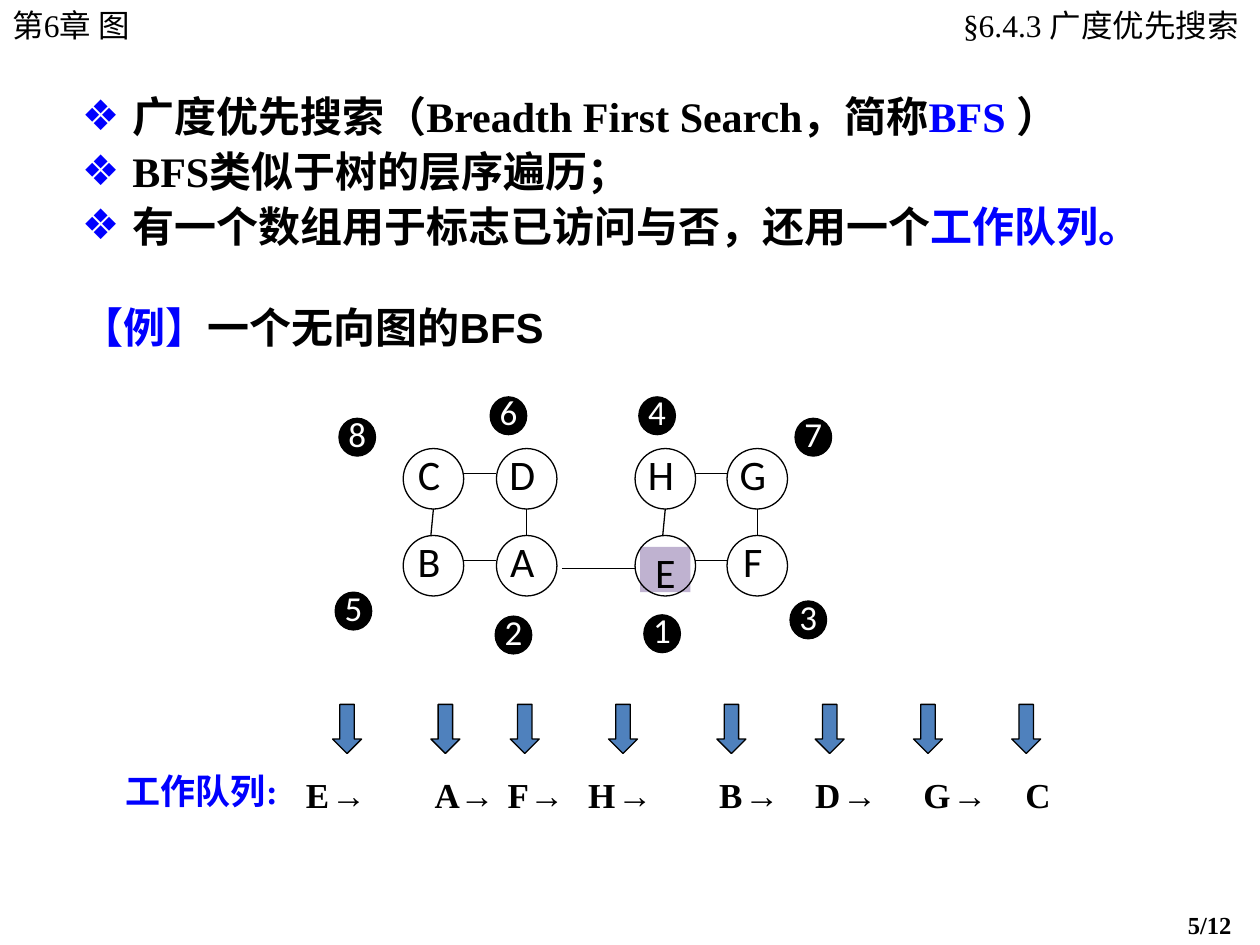
"""Build a slide on breadth-first search with a graph and its work queue."""
from dataclasses import dataclass
from typing import NamedTuple

from lxml import etree
from pptx import Presentation
from pptx.dml.color import RGBColor
from pptx.enum.shapes import MSO_CONNECTOR, MSO_SHAPE
from pptx.enum.text import MSO_ANCHOR, MSO_AUTO_SIZE, PP_ALIGN
from pptx.oxml.ns import qn
from pptx.util import Inches, Pt

LINE = MSO_CONNECTOR.STRAIGHT
OVAL, RECT, DOWN = MSO_SHAPE.OVAL, MSO_SHAPE.RECTANGLE, MSO_SHAPE.DOWN_ARROW
TOP, MIDDLE = MSO_ANCHOR.TOP, MSO_ANCHOR.MIDDLE
LEFT, RIGHT, CENTER = PP_ALIGN.LEFT, PP_ALIGN.RIGHT, PP_ALIGN.CENTER
NO_FIT = MSO_AUTO_SIZE.NONE


@dataclass(frozen=True)
class Theme:
    """Colours, fonts and type sizes of the slide."""
    black: str = "000000"
    white: str = "FFFFFF"
    blue: str = "0000FF"
    steel: str = "4F81BD"
    lilac: str = "BFB2D0"
    serif: str = "Times New Roman"
    sans: str = "Arial"
    label: str = "Calibri"
    mono: str = "Courier New"
    large: int = 24
    queue: int = 20
    head: int = 18
    page: int = 14
    stroke: float = 0.75


THEME = Theme()


class Span(NamedTuple):
    """A piece of text with its own look."""
    text: str
    size: int = THEME.large
    color: str = THEME.black
    font: str = THEME.serif
    bold: bool = True


class Box(NamedTuple):
    """A place on the slide in inches."""
    x: float
    y: float
    w: float
    h: float


class Node(NamedTuple):
    """A graph vertex with its visit number and badge corner."""
    name: str
    col: int
    row: int
    rank: int
    x: float
    y: float


class Step(NamedTuple):
    """A queue entry with the left edges of its text and arrow."""
    name: str
    x: float
    arrow: float


COLS, ROWS = (3.2, 3.94, 5.04, 5.77), (3.56, 4.25)
SIDE = 0.48
NODES = (
    Node("C", 0, 0, 8, 2.69, 3.32), Node("D", 1, 0, 6, 3.89, 3.15),
    Node("B", 0, 1, 5, 2.66, 4.7), Node("A", 1, 1, 2, 3.93, 4.89),
    Node("H", 2, 0, 4, 5.07, 3.15), Node("G", 3, 0, 7, 6.31, 3.32),
    Node("E", 2, 1, 1, 5.11, 4.88), Node("F", 3, 1, 3, 6.27, 4.77),
)
STEPS = (
    Step("E", 2.33, 2.64), Step("A", 3.35, 3.42), Step("F", 3.93, 4.05),
    Step("H", 4.57, 4.83), Step("B", 5.61, 5.69), Step("D", 6.37, 6.47),
    Step("G", 7.23, 7.25), Step("C", 8.04, 8.03),
)
POINTS = (
    (Span("广度优先搜索（Breadth First Search，简称"),
     Span("BFS ", color=THEME.blue), Span("）")),
    (Span("BFS类似于树的层序遍历；"),),
    (Span("有一个数组用于标志已访问与否，还用一个"),
     Span("工作队列。", color=THEME.blue)),
)


def write(para, spans, align=LEFT) -> None:
    """Fill a paragraph with styled runs."""
    para.alignment = align
    para.space_before = Pt(0)
    for span in spans:
        run = para.add_run()
        run.text = span.text
        font = run.font
        font.size, font.name, font.bold = Pt(span.size), span.font, span.bold
        font.color.rgb = RGBColor.from_string(span.color)


def frame(shape, pad=(0.1, 0.05, 0.1, 0.05), wrap=True, anchor=TOP):
    """Set up the text frame of a shape and return it."""
    text = shape.text_frame
    text.word_wrap, text.auto_size = wrap, NO_FIT
    text.vertical_anchor = anchor
    (text.margin_left, text.margin_top,
     text.margin_right, text.margin_bottom) = map(Inches, pad)
    return text


def place(shape, box: Box) -> None:
    """Move a placeholder to a box."""
    shape.left, shape.top, shape.width, shape.height = map(Inches, box)


def note(slide, box: Box, *spans: Span, wrap=True) -> None:
    """Add a text box."""
    shape = slide.shapes.add_textbox(*map(Inches, box))
    write(frame(shape, wrap=wrap).paragraphs[0], spans)


def draw(slide, kind, box: Box, fill="", line=""):
    """Add a plain shape."""
    shape = slide.shapes.add_shape(kind, *map(Inches, box))
    shape.shadow.inherit = False
    if fill:
        shape.fill.solid()
        shape.fill.fore_color.rgb = RGBColor.from_string(fill)
    else:
        shape.fill.background()
    if line:
        shape.line.color.rgb = RGBColor.from_string(line)
        shape.line.width = Pt(THEME.stroke)
    else:
        shape.line.fill.background()
    return shape


def join(slide, *ends: float) -> None:
    """Add an edge of the graph."""
    edge = slide.shapes.add_connector(LINE, *map(Inches, ends))
    edge.line.color.rgb = RGBColor.from_string(THEME.black)
    edge.line.width = Pt(THEME.stroke)
    etree.SubElement(edge._element.spPr, qn("a:effectLst"))


def mark(para) -> None:
    """Give a paragraph a blue diamond bullet."""
    props = para._p.get_or_add_pPr()
    props.set("marL", str(Inches(0.4)))
    props.set("indent", str(-Inches(0.4)))
    tint = etree.SubElement(props, qn("a:buClr"))
    etree.SubElement(tint, qn("a:srgbClr"), val=THEME.blue)
    etree.SubElement(props, qn("a:buFont"), typeface=THEME.sans)
    etree.SubElement(props, qn("a:buChar"), char="❖")


def add_list(shape) -> None:
    """Write the bullet points."""
    place(shape, Box(0.55, 0.67, 8.75, 1.6))
    text = frame(shape)
    for num, spans in enumerate(POINTS):
        para = text.add_paragraph() if num else text.paragraphs[0]
        mark(para)
        write(para, spans)
        para.space_before = Pt(2.5 if num else 0)


def add_node(slide, node: Node) -> None:
    """Draw a vertex and its visit badge."""
    x, y = COLS[node.col], ROWS[node.row]
    first = node.rank == 1
    spot = Box(x + 0.04, y + 0.09, 0.4, 0.36) if first else Box(x, y, 0.41, 0.36)
    label = draw(slide, RECT, spot, THEME.lilac if first else THEME.white)
    name = Span(node.name, font=THEME.label, bold=False)
    write(frame(label, (0, 0, 0, 0)).paragraphs[0], [name], CENTER)
    draw(slide, OVAL, Box(x, y, SIDE, SIDE), line=THEME.black)
    badge = draw(slide, OVAL, Box(node.x, node.y, 0.29, 0.3), THEME.black, THEME.black)
    rank = Span(str(node.rank), THEME.queue, THEME.white, THEME.label, False)
    text = frame(badge, (0, 0, 0, 0.06), False, MIDDLE)
    write(text.paragraphs[0], [rank], CENTER)


def add_graph(slide) -> None:
    """Draw the edges, then the vertices."""
    for left, right in (COLS[:2], COLS[2:]):
        for row, drop in zip(ROWS, (0.2, 0.2)):
            join(slide, left + SIDE, row + drop, right, row + drop)
        for x, lean in ((left, 0.02), (right, 0)):
            mid = x + SIDE / 2
            join(slide, mid, ROWS[0] + SIDE, mid - lean, ROWS[1])
    join(slide, 4.46, 4.51, COLS[2], 4.51)
    for node in NODES:
        add_node(slide, node)


def add_queue(slide) -> None:
    """Draw the work queue with its arrows."""
    note(slide, Box(0.9, 6.06, 1.47, 0.44),
         Span("工作队列:", THEME.queue, THEME.blue), wrap=False)
    for step in STEPS:
        draw(slide, DOWN, Box(step.arrow, 5.59, 0.23, 0.39), THEME.steel, THEME.black)
        spans = [Span(step.name, THEME.queue)]
        if step != STEPS[-1]:
            spans += [Span(" ", THEME.queue), Span("→", THEME.queue, font=THEME.mono)]
        note(slide, Box(step.x, 6.09, 0.65, 0.44), *spans, wrap=False)


def main() -> None:
    """Build and save the slide."""
    deck = Presentation()
    deck.slide_width, deck.slide_height = Inches(10), Inches(7.5)
    slide = deck.slides.add_slide(deck.slide_layouts[1])
    title, body = slide.placeholders
    place(title, Box(6.72, 0, 3.27, 0.4))
    text = frame(title, (0.12, 0.05, 0.16, 0.05))
    write(text.paragraphs[0], [Span("§6.4.3 广度优先搜索", THEME.head, bold=False)], RIGHT)
    note(slide, Box(0, 0, 1.74, 0.4), Span("第6章 图", THEME.head, bold=False))
    add_list(body)
    add_graph(slide)
    note(slide, Box(0.55, 2.34, 5.08, 0.5),
         Span("【例】", color=THEME.blue, font=THEME.sans),
         Span("一个无向图的BFS", font=THEME.sans))
    add_queue(slide)
    note(slide, Box(9.33, 7.17, 0.67, 0.33), Span("5/12", THEME.page))
    deck.save("out.pptx")


if __name__ == "__main__":
    main()
